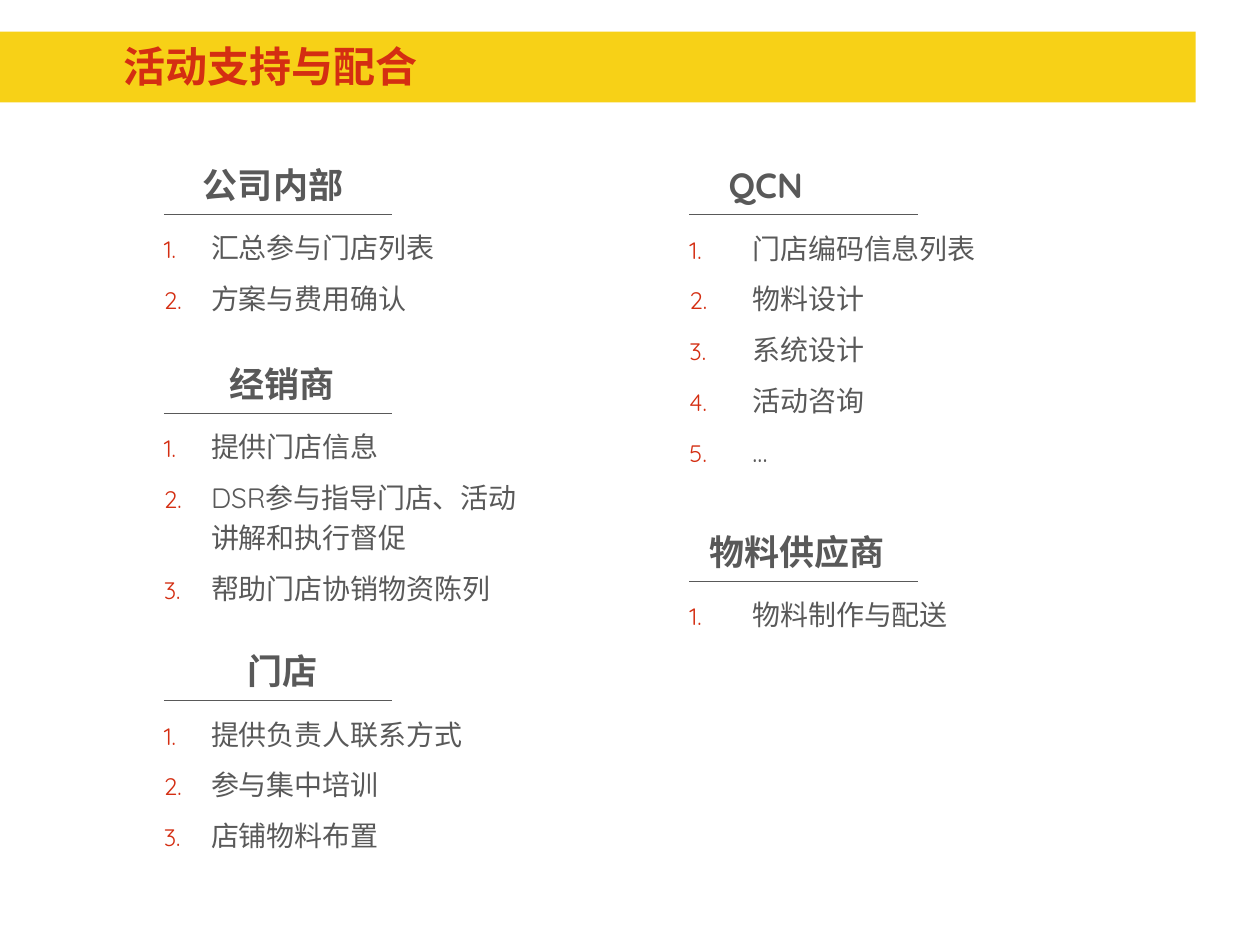
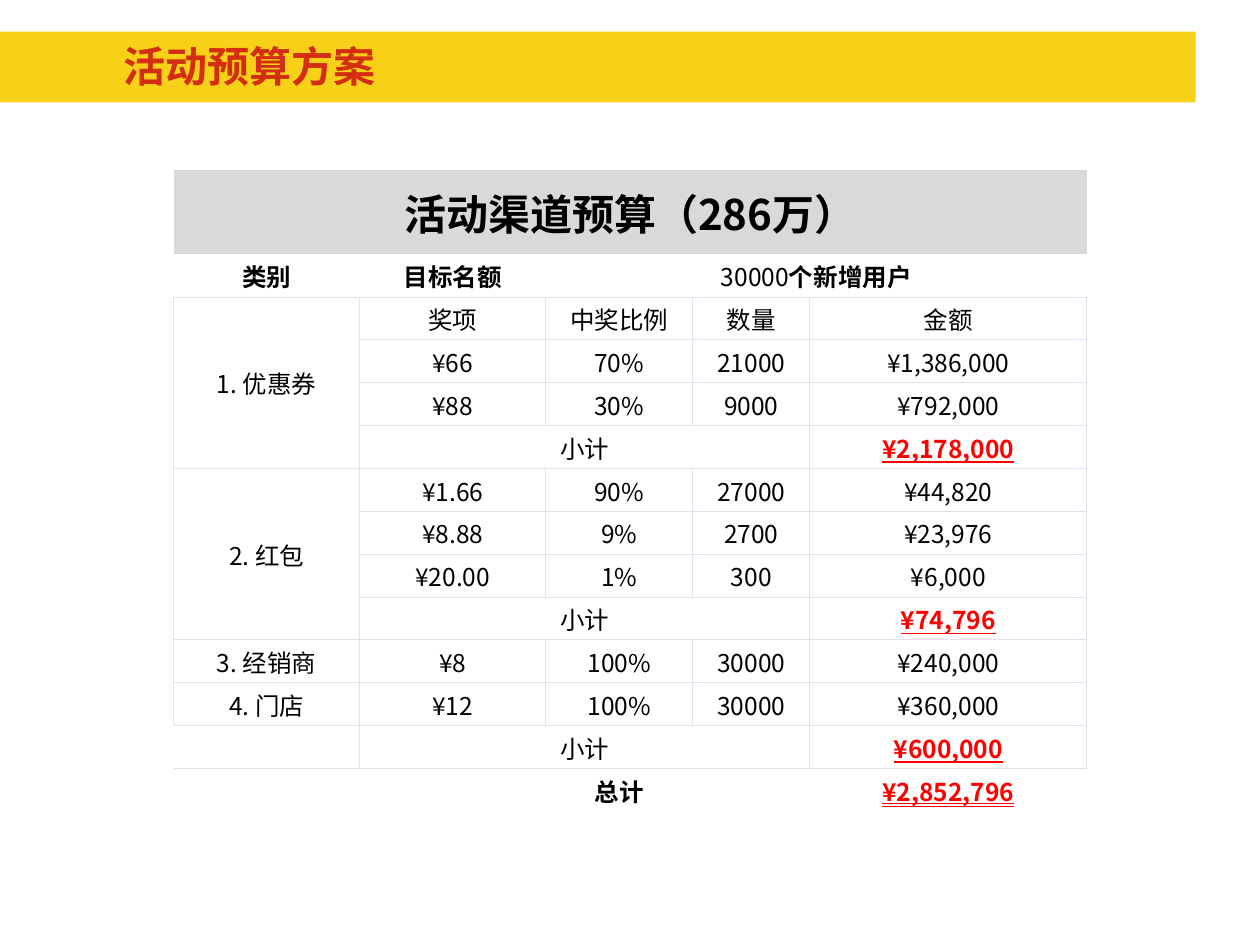
from collections import namedtuple
from dataclasses import dataclass

from lxml.etree import SubElement
from pptx import Presentation
from pptx.dml.color import RGBColor
from pptx.enum.shapes import MSO_CONNECTOR, MSO_SHAPE
from pptx.enum.text import MSO_ANCHOR, MSO_UNDERLINE, PP_ALIGN
from pptx.oxml.ns import qn
from pptx.util import Pt


@dataclass(frozen=True)
class Theme:
    yellow: str = "F7D117"
    red: str = "D42E12"
    grey: str = "595959"
    black: str = "000000"
    amount_red: str = "FF0000"
    header_fill: str = "D9D9D9"
    grid: str = "E4DFEC"
    font: str = "Quicksand"
    table_font: str = "Noto Sans CJK SC"
    title_size: int = 24
    heading_size: int = 20
    item_size: int = 16
    cell_size: int = 14


THEME = Theme()
Box = namedtuple("Box", "left top width height")
NO_GRID_STYLE = "{2D5ABB26-0587-4C30-8999-92F81FD0307C}"

# Box, heading offset, heading width, heading alignment, item indent, heading, items
LEFT, RIGHT = 93.6, 394
SECTIONS = [
    (Box(LEFT, 88.6, 171.4, 107.3), 22.4, 90.7, PP_ALIGN.LEFT, 27,
     "公司内部", ["汇总参与门店列表", "方案与费用确认"]),
    (Box(LEFT, 202.2, 209.5, 107.3), 22.4, 90.7, PP_ALIGN.CENTER, 27,
     "经销商", ["提供门店信息", "DSR参与指导门店、活动讲解和执行督促", "帮助门店协销物资陈列"]),
    (Box(LEFT, 366.4, 171.4, 158.4), 22.4, 90.7, PP_ALIGN.CENTER, 27,
     "门店", ["提供负责人联系方式", "参与集中培训", "店铺物料布置"]),
    (Box(RIGHT, 88.6, 202.3, 155.5), 22.4, 90.7, PP_ALIGN.LEFT, 36,
     "QCN", ["门店编码信息列表", "物料设计", "系统设计", "活动咨询", "..."]),
    (Box(RIGHT, 298.3, 202.3, 107.3), 11.5, 108, PP_ALIGN.LEFT, 36,
     "物料供应商", ["物料制作与配送"]),
]

SUBTOTAL, TOTAL = "小计", "总计"
COLUMN_WIDTHS = [106.3, 106.3, 84, 66.9, 158.3]
HEADER_HEIGHT, ROW_HEIGHT = 48, 24.5
BUDGET = [
    ["活动渠道预算（286万）", "", "", "", ""],
    ["类别", "目标名额", "30000个新增用户", "", ""],
    ["1. 优惠券", "奖项", "中奖比例", "数量", "金额"],
    ["", "¥66", "70%", "21000", "¥1,386,000"],
    ["", "¥88", "30%", "9000", "¥792,000"],
    ["", SUBTOTAL, "", "", "¥2,178,000"],
    ["2. 红包", "¥1.66", "90%", "27000", "¥44,820"],
    ["", "¥8.88", "9%", "2700", "¥23,976"],
    ["", "¥20.00", "1%", "300", "¥6,000"],
    ["", SUBTOTAL, "", "", "¥74,796"],
    ["3. 经销商", "¥8", "100%", "30000", "¥240,000"],
    ["4. 门店", "¥12", "100%", "30000", "¥360,000"],
    ["", SUBTOTAL, "", "", "¥600,000"],
    ["", "", TOTAL, "", "¥2,852,796"],
]
# First row, first column, last row, last column
MERGES = [(0, 0, 0, 4), (1, 2, 1, 4), (2, 0, 5, 0), (6, 0, 9, 0)]
MERGES += [(r, 1, r, 3) for r, row in enumerate(BUDGET) if row[1] == SUBTOTAL]
# Cells whose borders differ from the full grid
OPEN_BORDERS = {(11, 0): "LRT", (12, 0): "RB", (12, 4): "LRT", (13, 4): ""}


def rgb(color):
    return RGBColor.from_string(color)


def write(paragraph, text, size, color, font=THEME.font, bold=False,
          underline=False, align=PP_ALIGN.LEFT, spacing=None, after=None):
    """Append one formatted run to a paragraph."""
    paragraph.alignment = align
    if spacing:
        paragraph.line_spacing = spacing
    if after:
        paragraph.space_after = Pt(after)
    run = paragraph.add_run()
    run.text = text
    style = run.font
    style.name, style.size, style.bold = font, Pt(size), bold
    style.color.rgb = rgb(color)
    style.underline = underline
    east_asian = SubElement(run._r.get_or_add_rPr(), qn("a:ea"))
    east_asian.set("typeface", font)


def add_frame(slide, box):
    frame = slide.shapes.add_textbox(*map(Pt, box)).text_frame
    frame.word_wrap = True
    frame.margin_left = frame.margin_right = 0
    frame.margin_top = frame.margin_bottom = 0
    return frame


def number(paragraph, indent):
    """Give a paragraph a small red automatic number."""
    properties = paragraph._p.get_or_add_pPr()
    properties.set("marL", str(Pt(indent)))
    properties.set("indent", str(-Pt(indent)))
    color = SubElement(properties, qn("a:buClr"))
    SubElement(color, qn("a:srgbClr")).set("val", THEME.red)
    SubElement(properties, qn("a:buSzPct")).set("val", "85000")
    SubElement(properties, qn("a:buAutoNum")).set("type", "arabicPeriod")


def add_title_band(slide, box, title):
    band = slide.shapes.add_shape(MSO_SHAPE.RECTANGLE, *map(Pt, box))
    band.shadow.inherit = False
    band.fill.solid()
    band.fill.fore_color.rgb = rgb(THEME.yellow)
    band.line.fill.background()
    frame = add_frame(slide, Box(box.left + 70.6, box.top + 5, 606.2, 33.1))
    write(frame.paragraphs[0], title, THEME.title_size, THEME.red, bold=True)


def add_section(slide, box, offset, heading_width, align, indent, heading, items):
    # Heading
    frame = add_frame(slide, Box(box.left + offset, box.top, heading_width, 32.4))
    write(frame.paragraphs[0], heading, THEME.heading_size, THEME.grey,
          bold=True, align=align, spacing=1.2, after=6)

    # Rule under the heading
    rule_top = box.top + 34
    rule = slide.shapes.add_connector(
        MSO_CONNECTOR.STRAIGHT, Pt(box.left), Pt(rule_top),
        Pt(box.left + 130.6), Pt(rule_top))
    rule.line.color.rgb = rgb(THEME.grey)
    rule.line.width = Pt(0.75)
    SubElement(rule._element.spPr, qn("a:effectLst"))

    # Numbered items
    drop = 39.6
    frame = add_frame(slide, Box(box.left, box.top + drop, box.width, box.height - drop))
    for index, item in enumerate(items):
        paragraph = frame.add_paragraph() if index else frame.paragraphs[0]
        number(paragraph, indent)
        write(paragraph, item, THEME.item_size, THEME.grey, spacing=1.2, after=6)


def border_sides(row, column):
    if (row, column) in OPEN_BORDERS:
        return OPEN_BORDERS[row, column]
    return {0: "", 1: "B", len(BUDGET) - 1: "T"}.get(row, "LRTB")


def set_borders(cell, sides):
    properties = cell._tc.get_or_add_tcPr()
    for side in sides:
        line = SubElement(properties, qn(f"a:ln{side}"))
        line.set("w", str(Pt(0.5)))
        fill = SubElement(line, qn("a:solidFill"))
        SubElement(fill, qn("a:srgbClr")).set("val", THEME.grid)


def write_cell(cell, row, column):
    text = BUDGET[row][column]
    paragraph = cell.text_frame.paragraphs[0]
    size = THEME.cell_size if row else THEME.title_size
    if not text:
        # Keep empty cells from stretching their row
        SubElement(paragraph._p, qn("a:endParaRPr")).set("sz", str(size * 100))
        return
    is_total = TOTAL in BUDGET[row]
    is_sum = column == 4 and (is_total or SUBTOTAL in BUDGET[row])
    underline = False
    if is_sum:
        underline = MSO_UNDERLINE.DOUBLE_LINE if is_total else True
    # The target count is regular, its unit bold
    parts = [(text, row < 2 or is_total or is_sum)]
    if text.startswith("30000个"):
        parts = [("30000", False), ("个新增用户", True)]
    for part, bold in parts:
        write(paragraph, part, size, THEME.amount_red if is_sum else THEME.black,
              font=THEME.table_font, bold=bold, underline=underline,
              align=PP_ALIGN.CENTER)


def add_budget_table(slide, box):
    table = slide.shapes.add_table(
        len(BUDGET), len(COLUMN_WIDTHS), *map(Pt, box)).table
    table.first_row = table.horz_banding = False
    table._tbl.tblPr.find(qn("a:tableStyleId")).text = NO_GRID_STYLE
    for column, width in zip(table.columns, COLUMN_WIDTHS):
        column.width = Pt(width)
    for index, row in enumerate(table.rows):
        row.height = Pt(ROW_HEIGHT if index else HEADER_HEIGHT)
    for top, left, bottom, right in MERGES:
        table.cell(top, left).merge(table.cell(bottom, right))

    for row in range(len(BUDGET)):
        for column in range(len(COLUMN_WIDTHS)):
            cell = table.cell(row, column)
            cell.vertical_anchor = MSO_ANCHOR.MIDDLE
            cell.margin_left = cell.margin_right = cell.margin_top = Pt(0.7)
            cell.margin_bottom = 0
            if not cell.is_spanned:
                set_borders(cell, border_sides(row, column))
            if row:
                cell.fill.background()
            else:
                cell.fill.solid()
                cell.fill.fore_color.rgb = rgb(THEME.header_fill)
            write_cell(cell, row, column)


def add_slide(deck, title):
    slide = deck.slides.add_slide(deck.slide_layouts[6])
    add_title_band(slide, Box(0, 18, 683.2, 40.5), title)
    return slide


def main():
    deck = Presentation()
    deck.slide_width, deck.slide_height = Pt(720), Pt(540)

    # Support from each party
    support = add_slide(deck, "活动支持与配合")
    for section in SECTIONS:
        add_section(support, *section)

    # Budget
    budget = add_slide(deck, "活动预算方案")
    height = HEADER_HEIGHT + ROW_HEIGHT * (len(BUDGET) - 1)
    add_budget_table(budget, Box(99.3, 97.2, sum(COLUMN_WIDTHS), height))

    deck.save("out.pptx")


if __name__ == "__main__":
    main()
